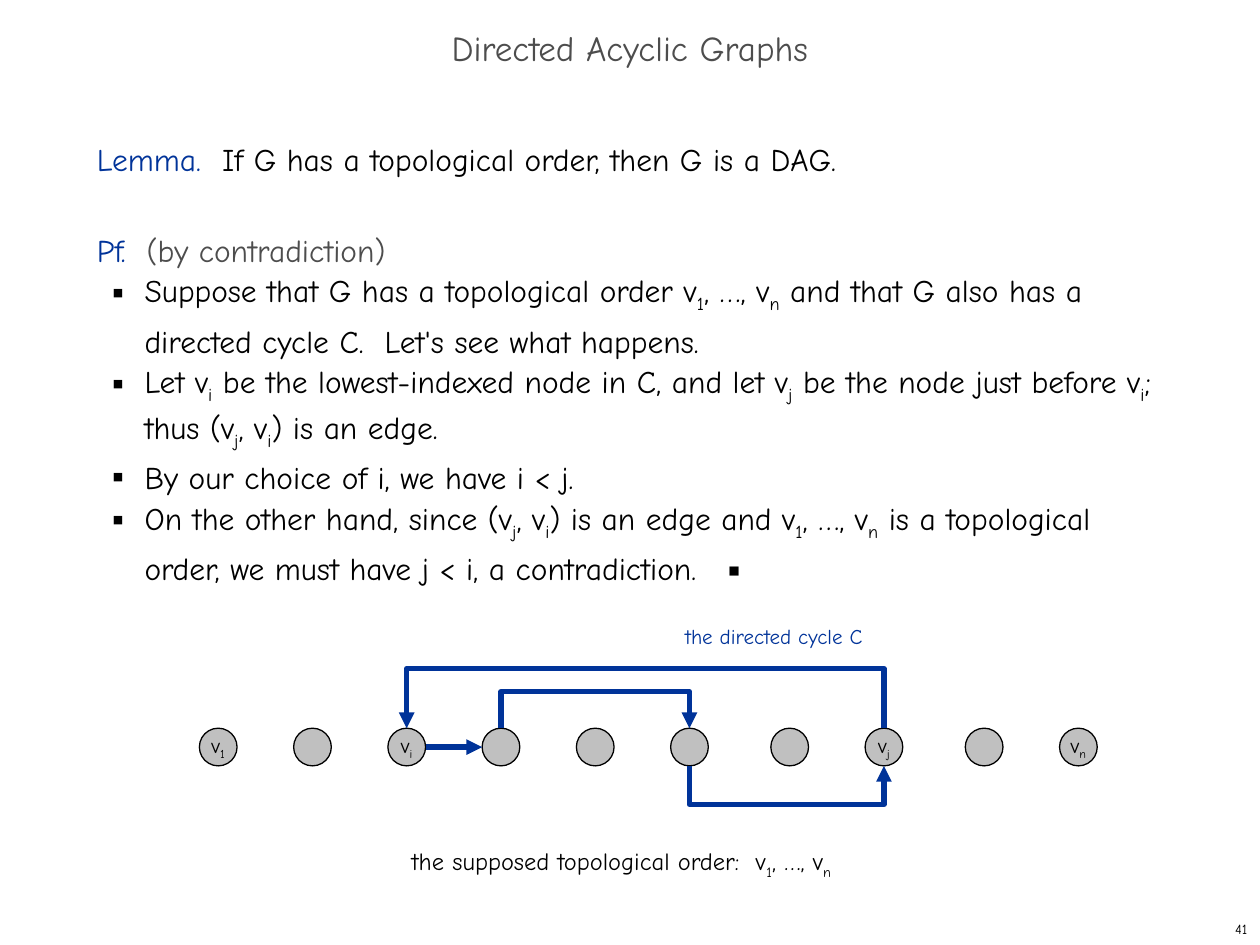
from dataclasses import dataclass

from lxml import etree
from pptx import Presentation
from pptx.dml.color import RGBColor
from pptx.enum.shapes import MSO_CONNECTOR, MSO_SHAPE
from pptx.enum.text import MSO_ANCHOR, MSO_AUTO_SIZE, PP_ALIGN
from pptx.oxml.ns import qn
from pptx.util import Cm, Pt

STRAIGHT, ELBOW = MSO_CONNECTOR.STRAIGHT, MSO_CONNECTOR.ELBOW
OVAL = MSO_SHAPE.OVAL
TOP, MIDDLE = MSO_ANCHOR.TOP, MSO_ANCHOR.MIDDLE
LEFT, CENTER, RIGHT = PP_ALIGN.LEFT, PP_ALIGN.CENTER, PP_ALIGN.RIGHT
NO_AUTOFIT = MSO_AUTO_SIZE.NONE
SIDE_TOP, SIDE_LEFT, SIDE_BOTTOM, SIDE_RIGHT = range(4)


@dataclass(frozen=True)
class Theme:
    font: str = "Comic Neue"
    black: RGBColor = RGBColor(0x00, 0x00, 0x00)
    blue: RGBColor = RGBColor(0x00, 0x33, 0x99)
    dark_gray: RGBColor = RGBColor(0x4D, 0x4D, 0x4D)
    node_gray: RGBColor = RGBColor(0xC0, 0xC0, 0xC0)
    title: Pt = Pt(20)
    body: Pt = Pt(18)
    caption: Pt = Pt(14)
    label: Pt = Pt(12)
    page: Pt = Pt(8)


theme = Theme()


def write(paragraph, text, size, color=theme.black):
    """Append text; the character after each underscore is a subscript."""
    first, *rest = text.split("_")
    pieces = [(first, False)]
    for piece in rest:
        pieces += [(piece[0], True), (piece[1:], False)]
    for content, subscript in pieces:
        if not content:
            continue
        run = paragraph.add_run()
        run.text = content
        run.font.name = theme.font
        run.font.size = size
        run.font.color.rgb = color
        if subscript:
            run._r.get_or_add_rPr().set("baseline", "-25000")


def add_arrow(kind, start, start_side, end, end_side):
    """Add a blue arrow attached to the given sides of two ovals."""
    connector = slide.shapes.add_connector(kind, 0, 0, 0, 0)
    connector.begin_connect(start, start_side)
    connector.end_connect(end, end_side)
    # An oval has eight connection sites, so its sides are every second one
    for site in connector._element.iter(qn("a:stCxn"), qn("a:endCxn")):
        site.set("idx", str(2 * int(site.get("idx"))))
    connector.line.color.rgb = theme.blue
    connector.line.width = Pt(3)
    line = connector.line._get_or_add_ln()
    etree.SubElement(line, qn("a:tailEnd"), type="triangle")
    etree.SubElement(connector._element.spPr, qn("a:effectLst"))
    return connector


presentation = Presentation()
presentation.slide_width = Cm(25.4)
presentation.slide_height = Cm(19.05)
slide = presentation.slides.add_slide(presentation.slide_layouts[1])
shapes = slide.shapes

# Title
title = shapes.title
title.left, title.top, title.width, title.height = Cm(0), Cm(0.43), Cm(25.4), Cm(1.27)
title.text_frame.auto_size = NO_AUTOFIT
title.text_frame.vertical_anchor = MIDDLE
heading = title.text_frame.paragraphs[0]
heading.alignment = CENTER
heading.line_spacing = 0.7
write(heading, "Directed Acyclic Graphs", theme.title, theme.dark_gray)

# Lemma and proof: (bulleted, space before, [(text, color), ...])
proof = [
    (False, 0, [("Lemma.  ", theme.blue),
                ("If G has a topological order, then G is a DAG.", theme.black)]),
    (False, 26, [("Pf.  ", theme.blue), ("(by contradiction)", theme.dark_gray)]),
]
steps = [
    "Suppose that G has a topological order v_1, …, v_n and that G also has a "
    "directed cycle C.  Let's see what happens.",
    "Let v_i be the lowest-indexed node in C, and let v_j be the node just before v_i; "
    "thus (v_j, v_i) is an edge.",
    "By our choice of i, we have i < j.",
    "On the other hand, since (v_j, v_i) is an edge and v_1, …, v_n is a topological "
    "order, we must have j < i, a contradiction.   ▪",
]
proof += [(True, 0, [(step, theme.black)]) for step in steps]

body = slide.placeholders[1]
body.left, body.top, body.width, body.height = Cm(1.7), Cm(2.54), Cm(21.8), Cm(15.04)
frame = body.text_frame
frame.auto_size = NO_AUTOFIT
frame.vertical_anchor = TOP
for index, (bulleted, space_before, parts) in enumerate(proof):
    paragraph = frame.add_paragraph() if index else frame.paragraphs[0]
    paragraph.level = int(bulleted)
    paragraph.alignment = LEFT
    paragraph.line_spacing = Pt(26)
    paragraph.space_before = Pt(space_before)
    paragraph.space_after = Pt(0)
    properties = paragraph._p.get_or_add_pPr()
    properties.set("marL", str(Cm(0.96 if bulleted else 0)))
    properties.set("indent", str(Cm(-0.64 if bulleted else 0)))
    if bulleted:
        bullet_color = etree.SubElement(properties, qn("a:buClr"))
        etree.SubElement(bullet_color, qn("a:srgbClr"), val=str(theme.black))
        etree.SubElement(properties, qn("a:buSzPct"), val="35000")
        etree.SubElement(properties, qn("a:buFont"), typeface=theme.font)
        etree.SubElement(properties, qn("a:buChar"), char="■")
    else:
        etree.SubElement(properties, qn("a:buNone"))
    for text, color in parts:
        write(paragraph, text, theme.body, color)

# Nodes in topological order, with slightly wider gaps before two of them
node_labels = ["v_1", "", "v_i", "", "", "", "", "v_j", "", "v_n"]
node_size, node_top = Cm(0.76), Cm(14.68)
nodes = []
for index, label in enumerate(node_labels):
    left = 4.02 + 1.9 * index + 0.12 * ((index > 5) + (index > 7))
    node = shapes.add_shape(OVAL, Cm(left), node_top, node_size, node_size)
    node.shadow.inherit = False
    node.fill.solid()
    node.fill.fore_color.rgb = theme.node_gray
    node.line.color.rgb = theme.black
    node.line.width = Pt(0.75)
    if label:
        node.text_frame.word_wrap = False
        node.text_frame.vertical_anchor = MIDDLE
        node.text_frame.paragraphs[0].alignment = CENTER
        write(node.text_frame.paragraphs[0], label, theme.label)
    nodes.append(node)

# Straight edge of the cycle
add_arrow(STRAIGHT, nodes[2], SIDE_RIGHT, nodes[3], SIDE_LEFT)

# Bent edges: start, end, side, bend offset (down is positive), rotation, flips
bent_edges = [
    (7, 2, SIDE_TOP, Cm(-1.32), 270, ("flipH", "flipV")),
    (3, 5, SIDE_TOP, Cm(-0.81), 90, ("flipV",)),
    (5, 7, SIDE_BOTTOM, Cm(0.86), 270, ("flipH",)),
]
thickness = 1588
for start, end, side, bend, rotation, flips in bent_edges:
    edge = add_arrow(ELBOW, nodes[start], side, nodes[end], side)
    span = abs(nodes[end].left - nodes[start].left)
    middle = (nodes[start].left + nodes[end].left + node_size) // 2
    level = node_top + (node_size if side == SIDE_BOTTOM else 0)
    edge.left, edge.top = middle - thickness // 2, level - span // 2
    edge.width, edge.height = thickness, span
    transform = edge._element.spPr.find(qn("a:xfrm"))
    for flip in ("flipH", "flipV"):
        transform.set(flip, "1" if flip in flips else "0")
    transform.set("rot", str(rotation * 60000))
    adjustments = edge._element.spPr.find(qn("a:prstGeom")).find(qn("a:avLst"))
    etree.SubElement(adjustments, qn("a:gd"), name="adj1",
                     fmla=f"val {round(bend / thickness * 100000)}")

# Captions and page number
captions = [
    (8.05, 16.94, 9.7, 0.84, "the supposed topological order:  v_1, …, v_n",
     theme.caption, theme.black, LEFT, TOP),
    (13.56, 12.45, 4.52, 0.76, "the directed cycle C",
     theme.label, theme.blue, LEFT, TOP),
    (20.12, 18.42, 5.28, 0.63, "41", theme.page, theme.black, RIGHT, MIDDLE),
]
for left, top, width, height, text, size, color, alignment, anchor in captions:
    box = shapes.add_textbox(Cm(left), Cm(top), Cm(width), Cm(height))
    box.text_frame.word_wrap = False
    box.text_frame.vertical_anchor = anchor
    box.text_frame.paragraphs[0].alignment = alignment
    write(box.text_frame.paragraphs[0], text, size, color)

presentation.save("out.pptx")
